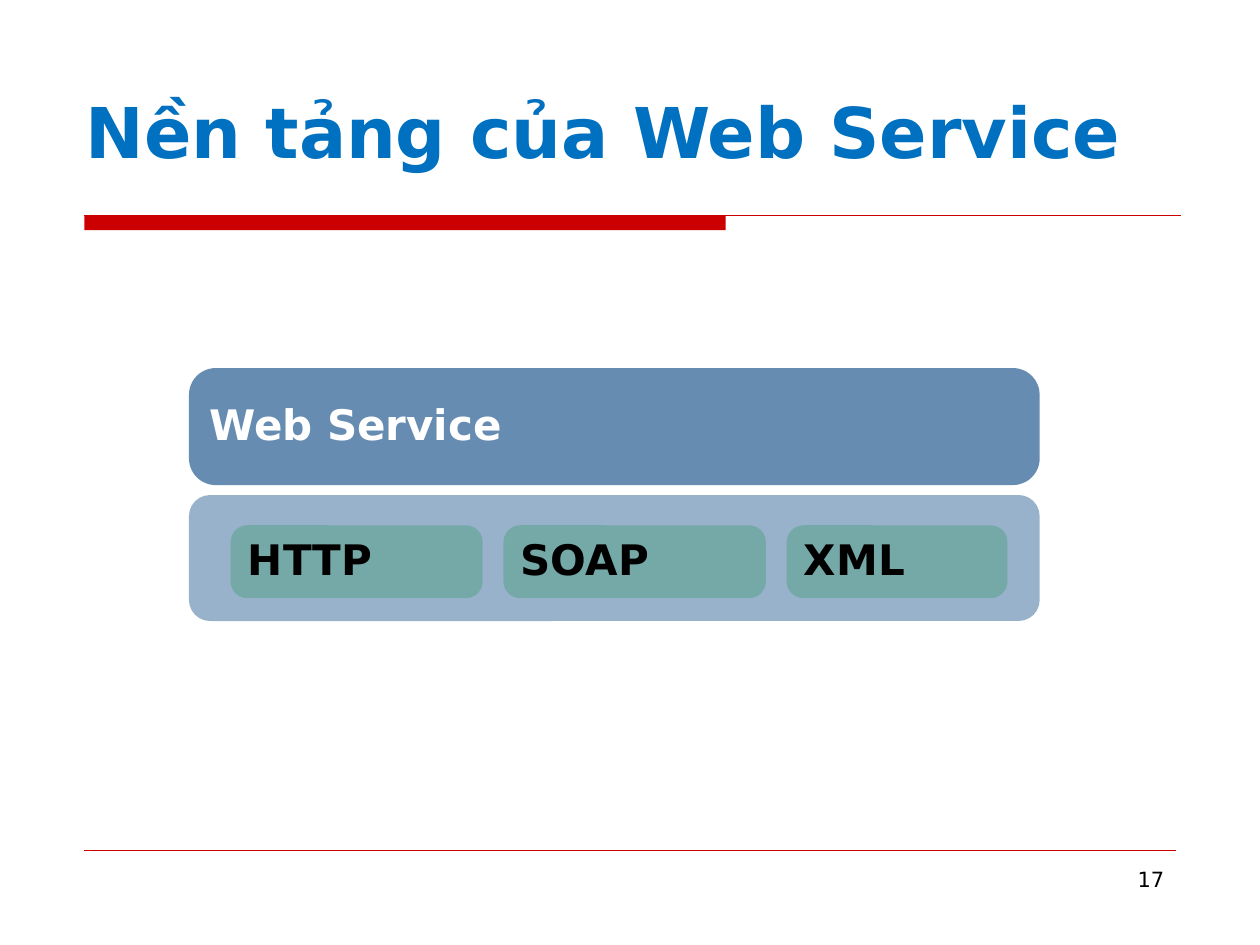
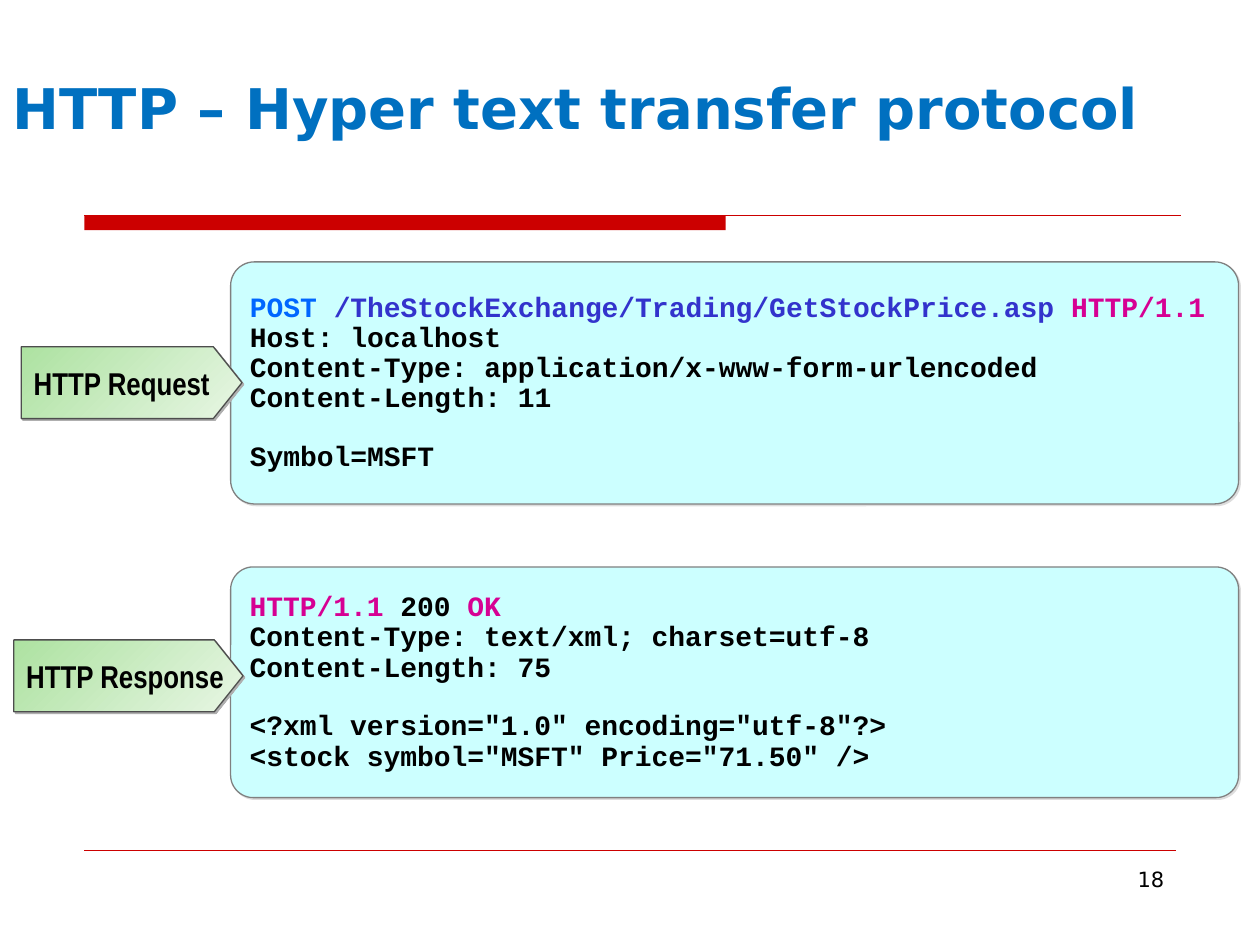
from dataclasses import dataclass

import pptx
import pptx.dml.color
import pptx.enum.dml
import pptx.enum.shapes
import pptx.enum.text
import pptx.oxml
import pptx.oxml.ns
import pptx.presentation
import pptx.shapes.autoshape
import pptx.slide
import pptx.text.text
import pptx.util

Cm = pptx.util.Cm
Pt = pptx.util.Pt
Shape = pptx.shapes.autoshape.Shape
Slide = pptx.slide.Slide
MSO_SHAPE = pptx.enum.shapes.MSO_SHAPE
MSO_ANCHOR = pptx.enum.text.MSO_ANCHOR

COLORS = {
    "title": "0070C0",
    "rule": "CC0000",
    "black": "000000",
    "white": "FFFFFF",
    "layer": "336699",
    "component": "339966",
    "code_fill": "CCFFFF",
    "code_line": "808080",
    "code_shadow": "DDDDDD",
    "tag_start": "ADE2A1",
    "tag_end": "E8F6E4",
    "tag_line": "4D4D4D",
    "tag_shadow": "AFAFAF",
    "method": "0066FF",
    "address": "3333CC",
    "protocol": "D60093",
}
MAIN_FONT = "DejaVu Sans"
CODE_FONT = "Courier New"
TAG_FONT = "Arial Narrow"
RULE_LEFT = 1.7
COMPONENT_GAP = 0.42
BLANK_LINE = Pt(16.3)


@dataclass(frozen=True)
class Box:
    left: float
    top: float
    width: float
    height: float

    def lengths(self) -> tuple[int, int, int, int]:
        return Cm(self.left), Cm(self.top), Cm(self.width), Cm(self.height)


@dataclass(frozen=True)
class Block:
    box: Box
    fill: str
    opacity: int
    corner: float
    text: str = ""
    text_color: str = "black"


@dataclass(frozen=True)
class CodeRun:
    text: str
    color: str = "black"


@dataclass(frozen=True)
class Message:
    label: str
    tag_box: Box
    code_box: Box
    header: tuple[tuple[CodeRun, ...], ...]
    body: tuple[tuple[CodeRun, ...], ...]


LAYERS = (
    Block(Box(3.81, 9.98, 17.15, 2.54), "layer", 50, 0.167),
    Block(Box(3.81, 7.42, 17.15, 2.36), "layer", 75, 0.229, "Web Service", "white"),
)
COMPONENT_WIDTHS = {"HTTP": 5.08, "SOAP": 5.29, "XML": 4.45}
MESSAGES = (
    Message(
        "HTTP Request",
        Box(0.43, 6.99, 4.45, 1.45),
        Box(4.65, 5.28, 20.32, 4.88),
        (
            (
                CodeRun("POST ", "method"),
                CodeRun("/TheStockExchange/Trading/GetStockPrice.asp ", "address"),
                CodeRun("HTTP/1.1", "protocol"),
            ),
            (CodeRun("Host: localhost"),),
            (CodeRun("Content-Type: application/x-www-form-urlencoded"),),
            (CodeRun("Content-Length: 11"),),
        ),
        ((CodeRun("Symbol=MSFT"),),),
    ),
    Message(
        "HTTP Response",
        Box(0.28, 12.9, 4.62, 1.45),
        Box(4.65, 11.43, 20.32, 4.65),
        (
            (CodeRun("HTTP/1.1", "protocol"), CodeRun(" 200 "), CodeRun("OK", "protocol")),
            (CodeRun("Content-Type: text/xml; charset=utf-8"),),
            (CodeRun("Content-Length: 75"),),
        ),
        (
            (CodeRun('<?xml version="1.0" encoding="utf-8"?>'),),
            (CodeRun('<stock symbol="MSFT" Price="71.50" />'),),
        ),
    ),
)


def rgb(name: str) -> pptx.dml.color.RGBColor:
    return pptx.dml.color.RGBColor.from_string(COLORS[name])


def format_font(font: pptx.text.text.Font, name: str, size: int, color: str, bold: bool = True) -> None:
    font.name = name
    font.size = Pt(size)
    font.bold = bold
    font.color.rgb = rgb(color)


def write_line(frame: pptx.text.text.TextFrame, text: str, name: str, size: int, color: str, bold: bool = True) -> None:
    frame.text = text
    paragraph = frame.paragraphs[0]
    paragraph.alignment = pptx.enum.text.PP_ALIGN.LEFT
    for run in paragraph.runs:
        format_font(run.font, name, size, color, bold)


def add_outline(slide: Slide, kind: MSO_SHAPE, box: Box, corner: float | None = None) -> Shape:
    shape = slide.shapes.add_shape(kind, *box.lengths())
    shape.shadow.inherit = False
    shape.line.fill.background()
    if corner is not None:
        shape.adjustments[0] = corner
    shape.text_frame.vertical_anchor = MSO_ANCHOR.MIDDLE
    return shape


def fill_solid(shape: Shape, color: str, opacity: int = 100) -> None:
    shape.fill.solid()
    shape.fill.fore_color.rgb = rgb(color)
    if opacity < 100:
        color_element = shape._element.spPr.find(".//" + pptx.oxml.ns.qn("a:srgbClr"))
        color_element.append(
            pptx.oxml.parse_xml(f'<a:alpha {pptx.oxml.ns.nsdecls("a")} val="{opacity * 1000}"/>')
        )


def add_border_and_shadow(shape: Shape, line_color: str, shadow_color: str) -> None:
    shape.line.color.rgb = rgb(line_color)
    shape.line.width = Pt(0.75)
    effects = shape._element.spPr.find(pptx.oxml.ns.qn("a:effectLst"))
    effects.append(
        pptx.oxml.parse_xml(
            f'<a:outerShdw {pptx.oxml.ns.nsdecls("a")} blurRad="0" dist="{Pt(1.4)}" dir="2700000" '
            f'algn="ctr" rotWithShape="0"><a:srgbClr val="{COLORS[shadow_color]}"/></a:outerShdw>'
        )
    )


def add_rule(slide: Slide, top: float, right: float, width: float) -> None:
    connector = slide.shapes.add_connector(
        pptx.enum.shapes.MSO_CONNECTOR.STRAIGHT, Cm(RULE_LEFT), Cm(top), Cm(right), Cm(top)
    )
    connector.line.color.rgb = rgb("rule")
    connector.line.width = Pt(width)
    connector._element.spPr.append(
        pptx.oxml.parse_xml(f'<a:effectLst {pptx.oxml.ns.nsdecls("a")}/>')
    )


def add_titled_slide(
    presentation: pptx.presentation.Presentation, title: str, title_box: Box, size: int, number: int
) -> Slide:
    slide = presentation.slides.add_slide(presentation.slide_layouts.get_by_name("Title Only"))
    band = add_outline(slide, MSO_SHAPE.RECTANGLE, Box(RULE_LEFT, 4.34, 12.93, 0.3))
    fill_solid(band, "rule")
    add_rule(slide, 4.34, 23.8, 0.75)
    add_rule(slide, 17.15, 23.7, 0.25)

    placeholder = slide.shapes.title
    placeholder.left, placeholder.top, placeholder.width, placeholder.height = title_box.lengths()
    frame = placeholder.text_frame
    frame.auto_size = pptx.enum.text.MSO_AUTO_SIZE.NONE
    frame.vertical_anchor = MSO_ANCHOR.BOTTOM
    write_line(frame, title, MAIN_FONT, size, "title")

    number_box = slide.shapes.add_textbox(*Box(18.21, 17.35, 5.51, 1.32).lengths())
    number_box.text_frame.word_wrap = True
    write_line(number_box.text_frame, str(number), MAIN_FONT, 12, "black", bold=False)
    number_box.text_frame.paragraphs[0].alignment = pptx.enum.text.PP_ALIGN.RIGHT
    return slide


def add_block(slide: Slide, block: Block) -> None:
    shape = add_outline(slide, MSO_SHAPE.ROUNDED_RECTANGLE, block.box, block.corner)
    fill_solid(shape, block.fill, block.opacity)
    if block.text:
        shape.text_frame.margin_top = 0
        write_line(shape.text_frame, block.text, MAIN_FONT, 24, block.text_color)


def add_message(slide: Slide, message: Message) -> None:
    panel = add_outline(slide, MSO_SHAPE.ROUNDED_RECTANGLE, message.code_box, 0.098)
    fill_solid(panel, "code_fill")
    add_border_and_shadow(panel, "code_line", "code_shadow")
    frame = panel.text_frame
    for index, line in enumerate(message.header + message.body):
        paragraph = frame.add_paragraph() if index else frame.paragraphs[0]
        paragraph.alignment = pptx.enum.text.PP_ALIGN.LEFT
        paragraph.line_spacing = 0.9
        if index == len(message.header):
            paragraph.space_before = BLANK_LINE
        for code_run in line:
            run = paragraph.add_run()
            run.text = code_run.text
            format_font(run.font, CODE_FONT, 16, code_run.color)

    tag = add_outline(slide, MSO_SHAPE.PENTAGON, message.tag_box, 0.4)
    tag.fill.gradient()
    tag.fill.gradient_angle = 315
    for stop, color in zip(tag.fill.gradient_stops, ("tag_start", "tag_end")):
        stop.color.rgb = rgb(color)
    add_border_and_shadow(tag, "tag_line", "tag_shadow")
    tag.text_frame.word_wrap = False
    tag.text_frame.margin_right = 0
    write_line(tag.text_frame, message.label, TAG_FONT, 18, "black")


def build_foundation_slide(presentation: pptx.presentation.Presentation) -> None:
    slide = add_titled_slide(
        presentation, "Nền tảng của Web Service", Box(1.47, 1.7, 21.39, 1.9), 40, 17
    )
    for layer in LAYERS:
        add_block(slide, layer)
    left = 4.65
    for name, width in COMPONENT_WIDTHS.items():
        add_block(slide, Block(Box(left, 10.59, width, 1.47), "component", 35, 0.229, name))
        left += width + COMPONENT_GAP


def build_http_slide(presentation: pptx.presentation.Presentation) -> None:
    slide = add_titled_slide(
        presentation, "HTTP – Hyper text transfer protocol", Box(0, 1.07, 25.4, 1.9), 32, 18
    )
    for message in MESSAGES:
        add_message(slide, message)


def main() -> None:
    presentation = pptx.Presentation()
    presentation.slide_width = Cm(25.4)
    presentation.slide_height = Cm(19.05)
    build_foundation_slide(presentation)
    build_http_slide(presentation)
    presentation.save("out.pptx")


if __name__ == "__main__":
    main()
